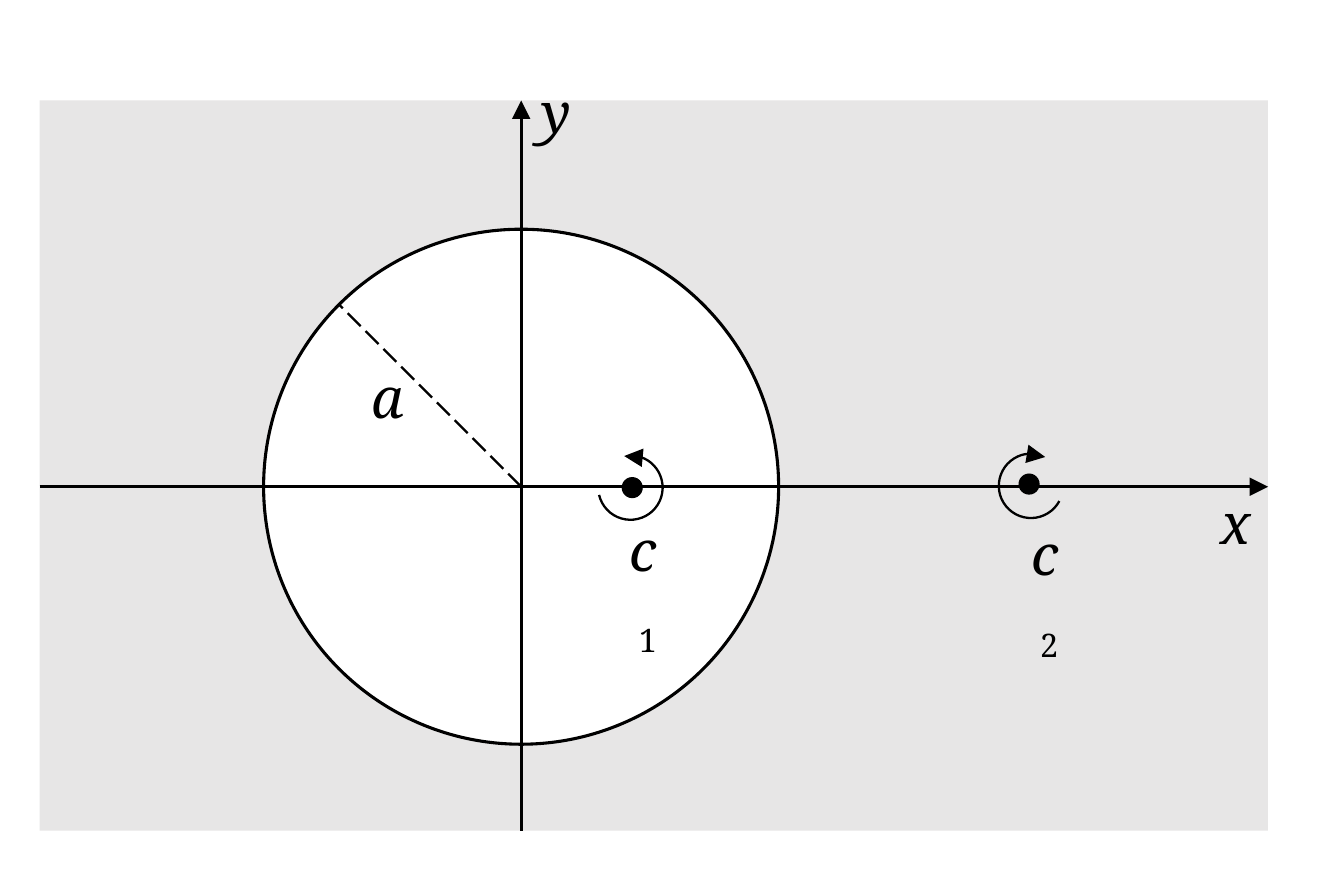
from dataclasses import dataclass
from math import cos, pi

from lxml.etree import SubElement
from pptx import Presentation
from pptx.dml.color import RGBColor
from pptx.enum.dml import MSO_LINE
from pptx.enum.shapes import MSO_CONNECTOR, MSO_SHAPE
from pptx.enum.text import MSO_ANCHOR, PP_ALIGN
from pptx.oxml.ns import qn
from pptx.util import Cm, Pt

BLACK, WHITE, GREY = "000000", "FFFFFF", "E7E6E6"

# Plane and circle, in centimetres
LEFT, TOP, RIGHT, BOTTOM = 0.45, 1.14, 14.38, 9.42
CENTRE_X, CENTRE_Y, RADIUS = 5.91, 5.52, 2.92
DOT_SIZE, SWIRL_SIZE = 0.24, 0.73


@dataclass
class Label:
    left: float
    top: float
    width: float
    symbol: str
    subscript: str = ""


@dataclass
class Vortex:
    dot_x: float
    dot_y: float
    swirl_x: float
    swirl_y: float
    rotation: float
    flipped: bool


@dataclass
class Segment:
    start_x: float
    start_y: float
    end_x: float
    end_y: float
    is_axis: bool


LABELS = [
    Label(5.89, 0.76, 0.84, "y"),
    Label(13.59, 5.41, 0.81, "x"),
    Label(3.96, 3.99, 0.81, "a"),
    Label(6.73, 5.72, 0.97, "c", "1"),
    Label(11.28, 5.77, 0.97, "c", "2"),
]
VORTICES = [
    Vortex(7.17, 5.53, 7.15, 5.53, 76.8, True),
    Vortex(11.67, 5.49, 11.69, 5.51, 118.2, False),
]
RIM = RADIUS * cos(pi / 4)
SEGMENTS = [
    Segment(CENTRE_X, BOTTOM, CENTRE_X, TOP, True),
    Segment(LEFT, CENTRE_Y, RIGHT, CENTRE_Y, True),
    Segment(CENTRE_X, CENTRE_Y, CENTRE_X - RIM, CENTRE_Y - RIM, False),
]


def colour(value: str) -> RGBColor:
    return RGBColor.from_string(value)


def style_line(line, width: float) -> None:
    line.color.rgb = colour(BLACK)
    line.width = Pt(width)


def add_arrowhead(line) -> None:
    SubElement(line._get_or_add_ln(), qn("a:tailEnd"), type="triangle")


def draw_shape(kind, left: float, top: float, width: float, height: float,
               fill: str = "", line_width: float = 0):
    shape = page.shapes.add_shape(kind, Cm(left), Cm(top), Cm(width), Cm(height))
    shape.shadow.inherit = False
    if fill:
        shape.fill.solid()
        shape.fill.fore_color.rgb = colour(fill)
    else:
        shape.fill.background()
    if line_width:
        style_line(shape.line, line_width)
    else:
        shape.line.fill.background()
    return shape


def draw_round(kind, x: float, y: float, size: float, fill: str = "", line_width: float = 0):
    return draw_shape(kind, x - size / 2, y - size / 2, size, size, fill, line_width)


def draw_segment(segment: Segment) -> None:
    connector = page.shapes.add_connector(
        MSO_CONNECTOR.STRAIGHT, Cm(segment.start_x), Cm(segment.start_y),
        Cm(segment.end_x), Cm(segment.end_y))
    style_line(connector.line, 1 if segment.is_axis else 0.75)
    if segment.is_axis:
        add_arrowhead(connector.line)
    else:
        connector.line.dash_style = MSO_LINE.LONG_DASH
    SubElement(connector._element.spPr, qn("a:effectLst"))


def draw_label(label: Label) -> None:
    box = page.shapes.add_textbox(Cm(label.left), Cm(label.top), Cm(label.width), Cm(1.02))
    frame = box.text_frame
    frame.vertical_anchor = MSO_ANCHOR.TOP
    # The narrow box breaks the subscript onto a second line
    frame.word_wrap = bool(label.subscript)
    para = frame.paragraphs[0]
    para.text = label.symbol
    para.alignment = PP_ALIGN.RIGHT
    if label.subscript:
        para.add_run().text = label.subscript
    for index, span in enumerate(para.runs):
        span.font.name = "Noto Serif"
        span.font.size = Pt(18)
        span.font.color.rgb = colour(BLACK)
        span.font.italic = index == 0
        if index:
            span.font._element.set("baseline", "-25000")


def draw_vortex(vortex: Vortex) -> None:
    draw_round(MSO_SHAPE.OVAL, vortex.dot_x, vortex.dot_y, DOT_SIZE, BLACK)
    swirl = draw_round(MSO_SHAPE.ARC, vortex.swirl_x, vortex.swirl_y, SWIRL_SIZE, line_width=0.75)
    swirl.adjustments[0] = 162
    swirl.adjustments[1] = 106.8
    swirl.rotation = vortex.rotation
    if vortex.flipped:
        swirl._element.spPr.xfrm.set("flipV", "1")
    add_arrowhead(swirl.line)


deck = Presentation()
deck.slide_width, deck.slide_height = Cm(15.24), Cm(10.16)
page = deck.slides.add_slide(deck.slide_layouts[6])

# Plane with the circular hole
draw_shape(MSO_SHAPE.RECTANGLE, LEFT, TOP, RIGHT - LEFT, BOTTOM - TOP, GREY)
draw_round(MSO_SHAPE.OVAL, CENTRE_X, CENTRE_Y, 2 * RADIUS, WHITE, 1)

# Axes and dashed radius
for segment in SEGMENTS:
    draw_segment(segment)

# Symbols
for label in LABELS:
    draw_label(label)

# Vortices
for vortex in VORTICES:
    draw_vortex(vortex)

deck.save("out.pptx")
